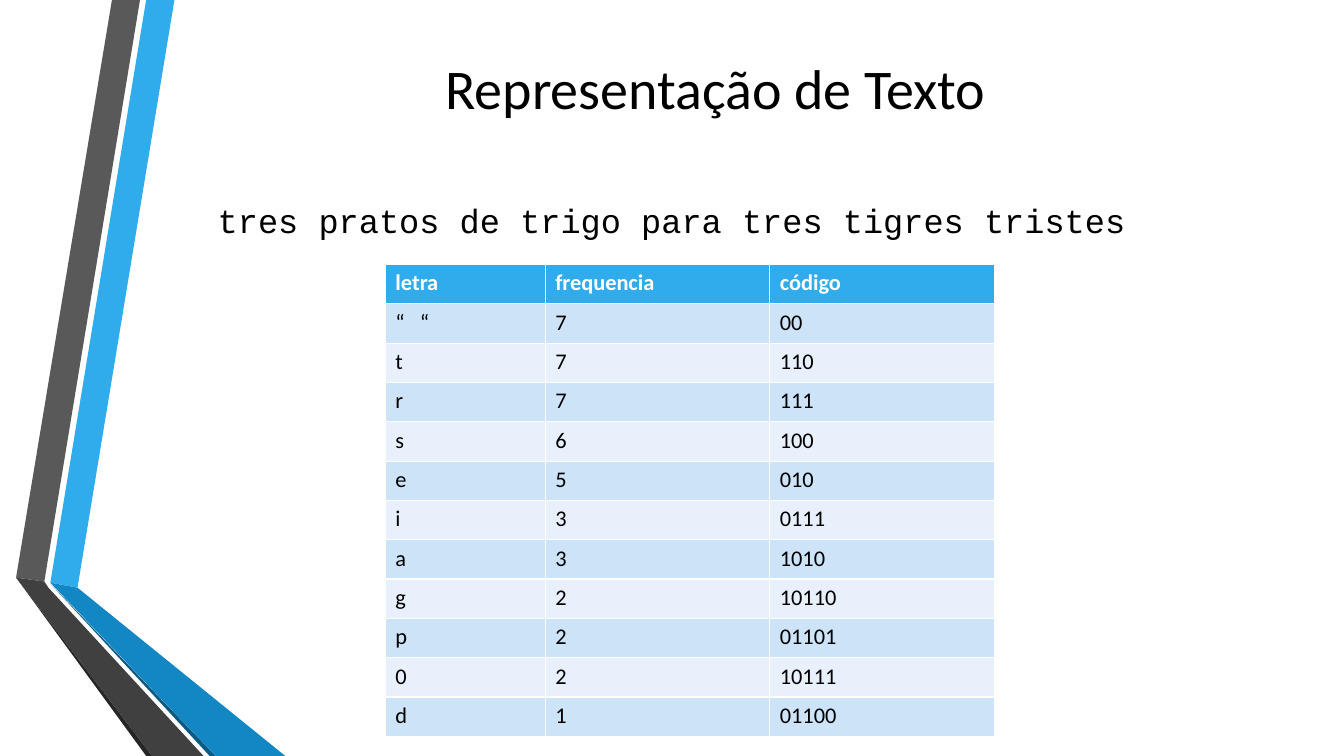
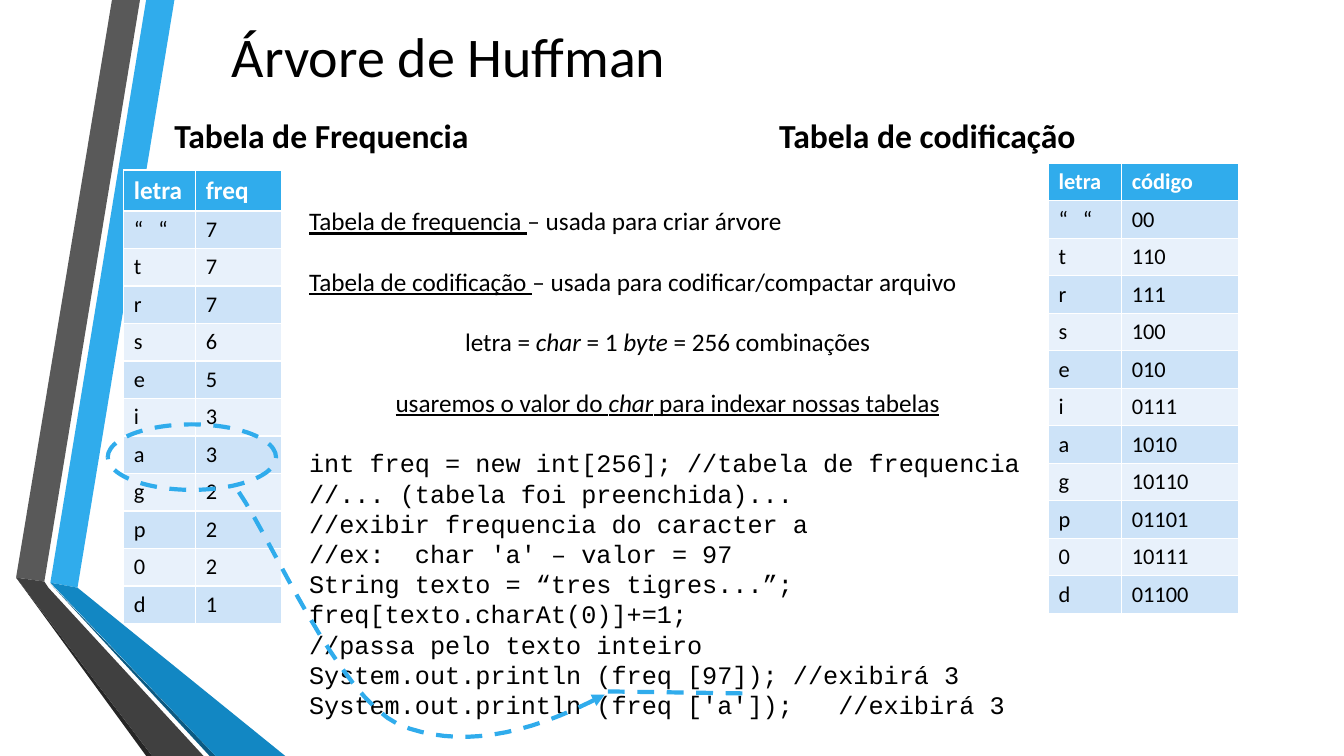
"""Build two slides on Huffman text coding with frequency and code tables."""
from dataclasses import dataclass

from lxml.etree import SubElement
from pptx import Presentation
from pptx.dml.color import RGBColor
from pptx.enum.dml import MSO_LINE
from pptx.enum.shapes import MSO_CONNECTOR, MSO_SHAPE
from pptx.enum.text import MSO_ANCHOR, MSO_AUTO_SIZE, PP_ALIGN
from pptx.oxml.ns import qn
from pptx.util import Pt


@dataclass(frozen=True)
class Theme:
    """Colours, fonts and type sizes of the deck."""
    accent: str = "30ACEC"
    accent_dark: str = "1287C3"
    accent_deep: str = "0C5A82"
    grey: str = "595959"
    grey_dark: str = "404040"
    grey_deep: str = "262626"
    text: str = "000000"
    white: str = "FFFFFF"
    row_fills: tuple = ("CDE3F8", "E8F1FB")
    sans: str = "Calibri"
    mono: str = "Courier New"
    title_size: int = 40
    heading_size: int = 24
    body_size: int = 18
    cell_size: int = 16
    line_pitch: float = 21.6
    dash_width: int = 3


THEME = Theme()
WIDTH, HEIGHT = 960, 540

BANDS = (
    (THEME.accent, ((36, 416.2), (55.4, 419.8), (124.6, 0), (104.4, 0))),
    (THEME.grey, ((100, 0), (80, 0), (11.5, 412.6), (31.7, 415.4))),
    (THEME.grey_deep, ((11.5, 412.6), (104.4, HEIGHT), (108.7, HEIGHT))),
    (THEME.accent_deep, ((36, 416.9), (149.8, HEIGHT), (154.1, HEIGHT))),
    (THEME.accent_dark, ((36, 416.2), (154.1, HEIGHT), (203.8, HEIGHT), (55.4, 419.8))),
    (THEME.grey_dark, ((145.4, HEIGHT), (34.6, 419.8), (31.7, 415.4), (11.5, 412.6),
                       (108.7, HEIGHT))),
)

LETTERS = (
    ("“   “", "7", "00"),
    ("t", "7", "110"),
    ("r", "7", "111"),
    ("s", "6", "100"),
    ("e", "5", "010"),
    ("i", "3", "0111"),
    ("a", "3", "1010"),
    ("g", "2", "10110"),
    ("p", "2", "01101"),
    ("0", "2", "10111"),
    ("d", "1", "01100"),
)

PLAIN = {}
UNDERLINED = {"underline": True}
ITALIC = {"italic": True}
EXPLANATIONS = (
    (PP_ALIGN.LEFT, (("Tabela de frequencia ", UNDERLINED),
                     ("– usada para criar árvore", PLAIN))),
    (PP_ALIGN.LEFT, (("Tabela de codificação ", UNDERLINED),
                     ("– usada para codificar/compactar arquivo", PLAIN))),
    (PP_ALIGN.CENTER, (("letra = ", PLAIN), ("char", ITALIC), (" = 1 ", PLAIN),
                       ("byte", ITALIC), (" = 256 combinações", PLAIN))),
    (PP_ALIGN.CENTER, (("usaremos o valor do ", UNDERLINED),
                       ("char", UNDERLINED | ITALIC),
                       (" para indexar nossas tabelas", UNDERLINED))),
)

CODE_LINES = (
    "int freq = new int[256]; //tabela de frequencia",
    "//... (tabela foi preenchida)...",
    "//exibir frequencia do caracter a",
    "//ex:  char 'a' – valor = 97",
    "String texto = “tres tigres...”;",
    "freq[texto.charAt(0)]+=1;",
    "//passa pelo texto inteiro",
    "System.out.println (freq [97]); //exibirá 3",
    "System.out.println (freq ['a']);   //exibirá 3",
)


def set_all(target, values):
    """Set every attribute named in a dict."""
    for name, value in values.items():
        setattr(target, name, value)


def place(shape, left, top, width, height):
    """Give a shape its position and size in points."""
    set_all(shape, {"left": Pt(left), "top": Pt(top),
                    "width": Pt(width), "height": Pt(height)})


def add_run(paragraph, text, size, font=THEME.sans, color=THEME.text, **styles):
    """Append a formatted run to a paragraph."""
    run = paragraph.add_run()
    run.text = text
    set_all(run.font, {"name": font, "size": Pt(size), **styles})
    run.font.color.rgb = RGBColor.from_string(color)


def format_body_paragraph(paragraph, hanging=0, **settings):
    """Remove the bullet and set the indent and spacing of a body paragraph."""
    set_all(paragraph, {"space_before": Pt(0), "space_after": Pt(0), **settings})
    properties = paragraph._p.get_or_add_pPr()
    properties.set("marL", str(Pt(hanging)))
    properties.set("indent", str(-Pt(hanging)))
    SubElement(properties, qn("a:buNone"))


def prepare_frame(shape, anchor=MSO_ANCHOR.TOP):
    """Make the text of a shape wrap at a fixed size and return its frame."""
    frame = shape.text_frame
    set_all(frame, {"word_wrap": True, "auto_size": MSO_AUTO_SIZE.NONE,
                    "vertical_anchor": anchor})
    return frame


def set_title(slide, text, box):
    """Fill and place the title placeholder."""
    title = slide.shapes.title
    place(title, *box)
    paragraph = prepare_frame(title, MSO_ANCHOR.MIDDLE).paragraphs[0]
    paragraph.alignment = PP_ALIGN.CENTER
    add_run(paragraph, text, THEME.title_size)


def open_body(slide, box):
    """Place the body placeholder and return its frame."""
    body = slide.placeholders[1]
    place(body, *box)
    return prepare_frame(body)


def add_heading(slide, text, left, top):
    """Add a bold heading above a table."""
    box = slide.shapes.add_textbox(Pt(left), Pt(top), Pt(260), Pt(37))
    paragraph = prepare_frame(box).paragraphs[0]
    add_run(paragraph, text, THEME.heading_size, bold=True)


def add_letter_table(slide, headers, columns, origin, widths, heights,
                     header_size=THEME.cell_size):
    """Add a table showing the chosen columns of the letter data."""
    rows = [headers] + [[letter[column] for column in columns] for letter in LETTERS]
    header_height, row_height = heights
    total_height = header_height + row_height * len(LETTERS)
    left, top = origin
    table = slide.shapes.add_table(len(rows), len(headers), Pt(left), Pt(top),
                                   Pt(sum(widths)), Pt(total_height)).table
    for column, width in zip(table.columns, widths):
        column.width = Pt(width)
    for index, values in enumerate(rows):
        is_header = index == 0
        table.rows[index].height = Pt(header_height if is_header else row_height)
        fill = THEME.accent if is_header else THEME.row_fills[(index - 1) % 2]
        for cell, value in zip(table.rows[index].cells, values):
            cell.fill.solid()
            cell.fill.fore_color.rgb = RGBColor.from_string(fill)
            add_run(cell.text_frame.paragraphs[0], value,
                    header_size if is_header else THEME.cell_size,
                    color=THEME.white if is_header else THEME.text, bold=is_header)


def add_outline(slide, points, close=True):
    """Add a freeform through points given in points of length."""
    start, *others = [(Pt(x), Pt(y)) for x, y in points]
    builder = slide.shapes.build_freeform(*start)
    builder.add_line_segments(others, close=close)
    shape = builder.convert_to_shape()
    shape.shadow.inherit = False
    return shape


def add_bands(slide, layout):
    """Draw the folded side bands and move them to the shared layout."""
    for number, (color, points) in enumerate(BANDS, start=101):
        band = add_outline(slide, points)
        band.fill.solid()
        band.fill.fore_color.rgb = RGBColor.from_string(color)
        band.line.fill.background()
        band.element.nvSpPr.cNvPr.set("id", str(number))
        layout.shapes.element.append(band.element)


def dash_line(shape):
    """Give a shape or connector the dashed accent line."""
    shape.line.color.rgb = RGBColor.from_string(THEME.accent)
    set_all(shape.line, {"width": Pt(THEME.dash_width), "dash_style": MSO_LINE.DASH})


def curve_points(start, segments, steps=16):
    """Return points along joined cubic curves."""
    points = [start]
    for first, second, end in segments:
        begin = points[-1]
        for step in range(1, steps + 1):
            t = step / steps
            weights = ((1 - t) ** 3, 3 * t * (1 - t) ** 2, 3 * t * t * (1 - t), t ** 3)
            corners = (begin, first, second, end)
            points.append(tuple(sum(weight * corner[axis]
                                    for weight, corner in zip(weights, corners))
                                for axis in (0, 1)))
    return points


def add_curved_arrow(slide, start, segments):
    """Add a dashed curve that ends in an arrowhead."""
    arrow = add_outline(slide, curve_points(start, segments), close=False)
    arrow.fill.background()
    dash_line(arrow)
    SubElement(arrow.element.spPr.find(qn("a:ln")), qn("a:tailEnd"), type="triangle")


def add_ring(slide, box):
    """Add a dashed ellipse without fill."""
    ring = slide.shapes.add_shape(MSO_SHAPE.OVAL, *map(Pt, box))
    ring.shadow.inherit = False
    ring.fill.background()
    dash_line(ring)


def add_dashed_line(slide, *ends):
    """Add a straight dashed connector."""
    line = slide.shapes.add_connector(MSO_CONNECTOR.STRAIGHT, *map(Pt, ends))
    dash_line(line)
    SubElement(line.element.spPr, qn("a:effectLst"))


def fill_text_slide(slide):
    """Show the sample sentence and its letter codes."""
    set_title(slide, "Representação de Texto", (116.6, -6.5, 789, 138))
    paragraph = open_body(slide, (148.3, 139.5, 785.5, 45)).paragraphs[0]
    format_body_paragraph(paragraph, hanging=22.5)
    add_run(paragraph, "tres pratos de trigo para tres tigres tristes",
            THEME.heading_size, THEME.mono)
    add_letter_table(slide, ("letra", "frequencia", "código"), (0, 1, 2),
                     (275.3, 188.9), (114.2, 160.4, 160.4), (28.1, 28.1))


def fill_tree_slide(slide):
    """Show both tables and explain how they are indexed."""
    add_heading(slide, "Tabela de Frequencia", 117.4, 78.5)
    add_heading(slide, "Tabela de codificação", 549.5, 78.5)
    set_title(slide, "Árvore de Huffman", (-74, -6.5, 789, 91.5))
    add_letter_table(slide, ("letra", "freq"), (0, 1), (88.4, 121.5),
                     (51.4, 61.4), (29.2, 26.8), THEME.body_size)
    add_letter_table(slide, ("letra", "código"), (0, 2), (748.9, 116.6),
                     (52.4, 83.6), (26.8, 26.8))
    frame = open_body(slide, (213.6, 143.3, 526.5, 378))
    pitch = Pt(THEME.line_pitch)
    code = [(PP_ALIGN.LEFT, ((line, {"font": THEME.mono}),)) for line in CODE_LINES]
    for index, (alignment, runs) in enumerate([*EXPLANATIONS, *code]):
        paragraph = frame.add_paragraph() if index else frame.paragraphs[0]
        gap = pitch if index < len(EXPLANATIONS) else Pt(0)
        format_body_paragraph(paragraph, alignment=alignment, line_spacing=pitch,
                              space_after=gap)
        for text, styles in runs:
            add_run(paragraph, text, THEME.body_size, **styles)
    add_ring(slide, (77, 303.1, 120.2, 46.8))
    add_curved_arrow(slide, (170.6, 351.4), (
        ((194.4, 385.9), (241.2, 496.8), (285.1, 517.7)),
        ((326.2, 534.2), (373.7, 527), (432, 496.1)),
    ))
    add_dashed_line(slide, 434.2, 493.9, 537.8, 495.4)


def main():
    """Build and save the presentation."""
    presentation = Presentation()
    set_all(presentation, {"slide_width": Pt(WIDTH), "slide_height": Pt(HEIGHT)})
    layout = presentation.slide_layouts[1]
    text_slide, tree_slide = [presentation.slides.add_slide(layout) for _ in range(2)]
    add_bands(text_slide, layout)
    fill_text_slide(text_slide)
    fill_tree_slide(tree_slide)
    presentation.save("out.pptx")


if __name__ == "__main__":
    main()
